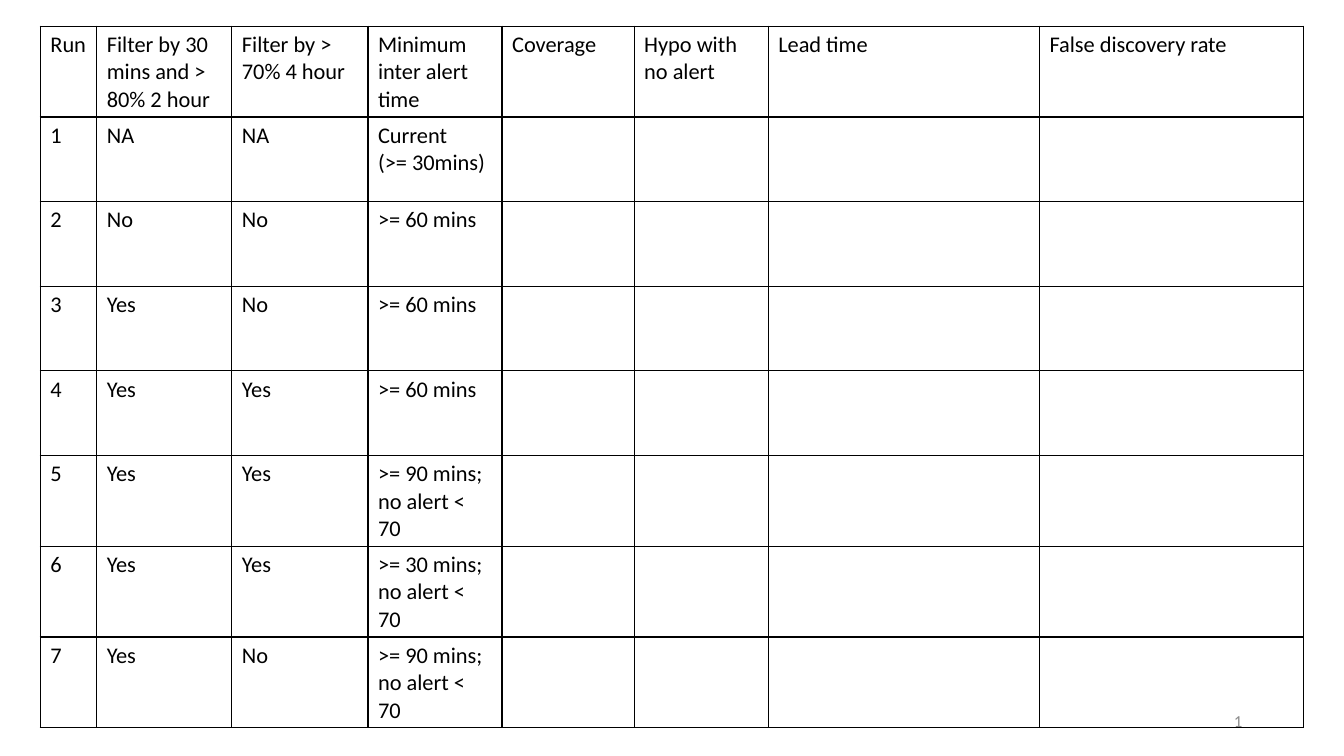
from lxml.etree import SubElement
from pptx import Presentation
from pptx.dml.color import RGBColor
from pptx.enum.text import MSO_ANCHOR, PP_ALIGN
from pptx.oxml.ns import qn
from pptx.util import Inches, Pt

BLACK = RGBColor(0x00, 0x00, 0x00)
GREY = RGBColor(0x8C, 0x8C, 0x8C)

HEADINGS = ["Run", "Filter by 30 mins and > 80% 2 hour", "Filter by > 70% 4 hour",
            "Minimum inter alert time", "Coverage", "Hypo with no alert",
            "Lead time", "False discovery rate"]
RUNS = [
    ("NA", "NA", "Current\n(>= 30mins)"),
    ("No", "No", ">= 60 mins"),
    ("Yes", "No", ">= 60 mins"),
    ("Yes", "Yes", ">= 60 mins"),
    ("Yes", "Yes", ">= 90 mins; no alert < 70"),
    ("Yes", "Yes", ">= 30 mins; no alert < 70"),
    ("Yes", "No", ">= 90 mins; no alert < 70"),
]
COLUMN_WIDTHS = [0.56, 1.34, 1.35, 1.33, 1.31, 1.33, 2.69, 2.62]
ROW_HEIGHT = 0.84


def style_font(font, size, color):
    for name, value in {"name": "Calibri", "size": Pt(size)}.items():
        setattr(font, name, value)
    font.color.rgb = color


def add_borders(cell):
    properties = cell._tc.get_or_add_tcPr()
    for side in ("a:lnL", "a:lnR", "a:lnT", "a:lnB"):
        border = SubElement(properties, qn(side), w=str(Pt(1)))
        fill = SubElement(border, qn("a:solidFill"))
        SubElement(fill, qn("a:srgbClr"), val=str(BLACK))


prs = Presentation()
prs.slide_width, prs.slide_height = Inches(13.33), Inches(7.5)
slide = prs.slides.add_slide(prs.slide_layouts[6])

page_frame = slide.shapes.add_textbox(Inches(9.42), Inches(6.95), Inches(3), Inches(0.4)).text_frame
page_frame.word_wrap = True
page_frame.vertical_anchor = MSO_ANCHOR.MIDDLE
page_line = page_frame.paragraphs[0]
page_line.alignment = PP_ALIGN.RIGHT
page_number = page_line.add_run()
page_number.text = "1"
style_font(page_number.font, 12, GREY)
page_field = SubElement(page_line._p, qn("a:fld"), type="slidenum",
                        id="{B6F15528-21DE-4FAA-801E-634DDDAF4B2B}")
page_field.extend(list(page_number._r))
page_line._p.remove(page_number._r)

rows = [HEADINGS] + [(str(number), *settings) for number, settings in enumerate(RUNS, 1)]
run_table = slide.shapes.add_table(
    len(rows), len(HEADINGS), Inches(0.4), Inches(0.26),
    Inches(sum(COLUMN_WIDTHS)), Inches(ROW_HEIGHT * len(rows))).table
run_table.first_row = False
run_table.horz_banding = False
for column, width in zip(run_table.columns, COLUMN_WIDTHS):
    column.width = Inches(width)
for row in run_table.rows:
    row.height = Inches(ROW_HEIGHT)

for cell in run_table.iter_cells():
    add_borders(cell)
    cell.fill.background()
for row, texts in zip(run_table.rows, rows):
    for cell, text in zip(row.cells, texts):
        cell.text = text
        for paragraph in cell.text_frame.paragraphs:
            for run in paragraph.runs:
                style_font(run.font, 16, BLACK)

prs.save("out.pptx")
